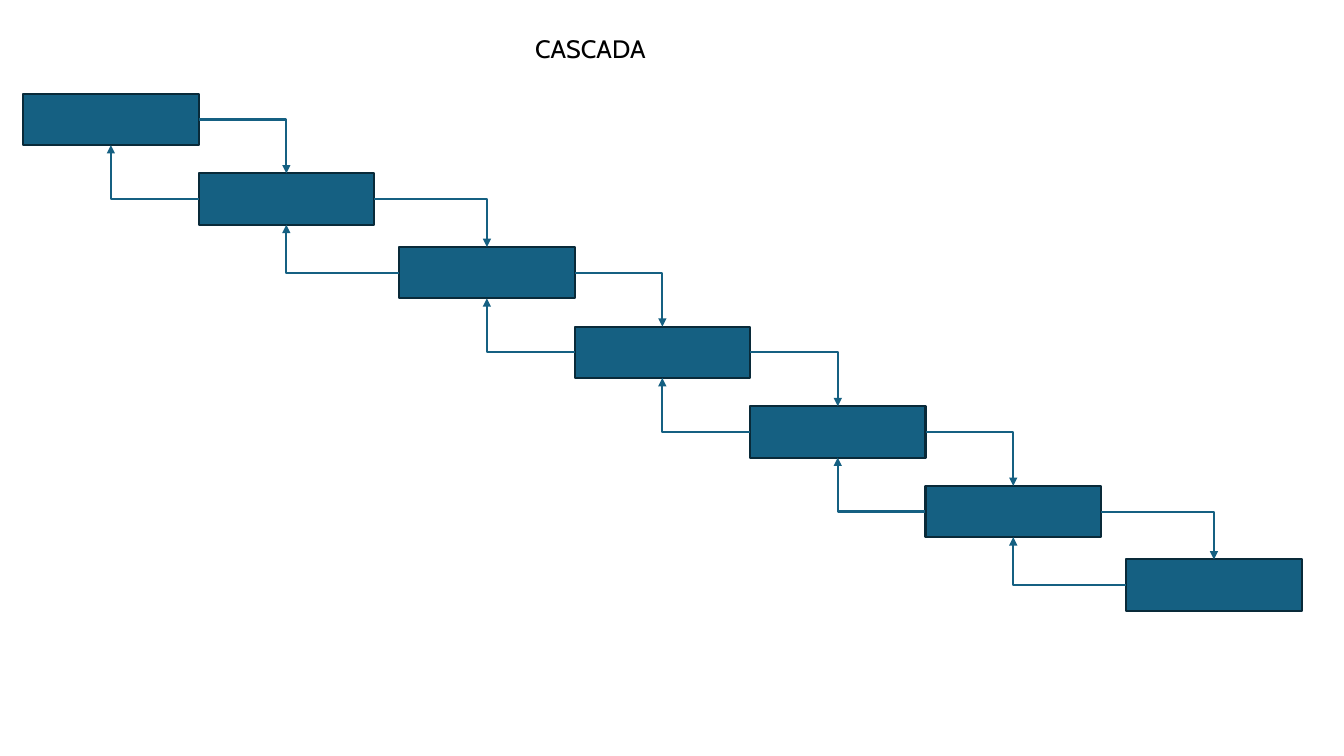
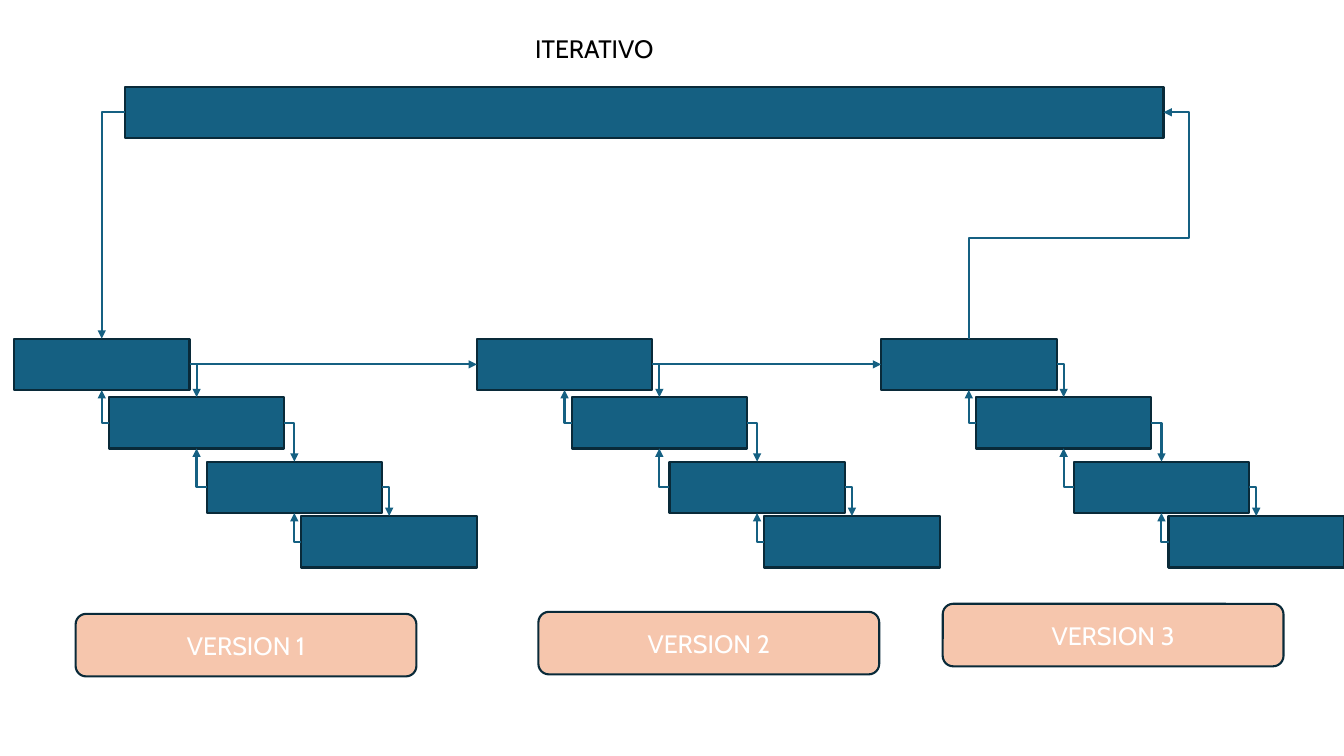
import itertools

import pptx
import pptx.dml.color
import pptx.enum.shapes
import pptx.enum.text
import pptx.oxml.ns
import pptx.util
from lxml import etree

Inches = pptx.util.Inches
Pt = pptx.util.Pt
qn = pptx.oxml.ns.qn
SHAPE = pptx.enum.shapes.MSO_SHAPE
ELBOW = pptx.enum.shapes.MSO_CONNECTOR.ELBOW

# Connection sites of a rectangle
TOP, LEFT, BOTTOM, RIGHT = range(4)


def rgb(value):
    return pptx.dml.color.RGBColor.from_string(value)


class Deck:
    BLUE, NAVY, PEACH = "156082", "092A39", "F6C6AD"
    BLACK, WHITE = "000000", "FFFFFF"
    FONT = {"name": "Cabin", "size": Pt(18)}
    LINE = Pt(1.5)
    BOX_W, BOX_H = 1.74, 0.51

    def __init__(self):
        self.prs = pptx.Presentation()
        self.prs.slide_width, self.prs.slide_height = Inches(13.33), Inches(7.5)
        self.s = None

    def slide(self, title):
        self.s = self.prs.slides.add_slide(self.prs.slide_layouts[6])
        tb = self.s.shapes.add_textbox(*map(Inches, (5.21, 0.28, 4.57, 0.4)))
        tb.text_frame.word_wrap = True
        self.add_text(tb.text_frame.paragraphs[0], title, self.BLACK)

    def add_text(self, p, text, color):
        r = p.add_run()
        r.text = text
        for key, value in self.FONT.items():
            setattr(r.font, key, value)
        r.font.color.rgb = rgb(color)

    def box(self, x, y, w=BOX_W, h=BOX_H, kind=SHAPE.RECTANGLE, fill=BLUE, parent=None):
        sp = (parent or self.s).shapes.add_shape(kind, *map(Inches, (x, y, w, h)))
        sp.shadow.inherit = False
        sp.fill.solid()
        sp.fill.fore_color.rgb = rgb(fill)
        sp.line.color.rgb = rgb(self.NAVY)
        sp.line.width = self.LINE
        return sp

    def label(self, x, y, text):
        sp = self.box(x, y, 3.38, 0.62, SHAPE.ROUNDED_RECTANGLE, self.PEACH)
        tf = sp.text_frame
        tf.word_wrap = True
        tf.vertical_anchor = pptx.enum.text.MSO_ANCHOR.MIDDLE
        tf.paragraphs[0].alignment = pptx.enum.text.PP_ALIGN.CENTER
        self.add_text(tf.paragraphs[0], text, self.WHITE)

    @staticmethod
    def site(sp, side):
        x = {LEFT: sp.left, RIGHT: sp.left + sp.width}.get(side, sp.left + sp.width // 2)
        y = {TOP: sp.top, BOTTOM: sp.top + sp.height}.get(side, sp.top + sp.height // 2)
        return x, y

    def arrow(self, start, start_side, end, end_side, bends=2, adjust=(), parent=None):
        ends = self.site(start, start_side) + self.site(end, end_side)
        cxn = (parent or self.s).shapes.add_connector(ELBOW, *ends)
        cxn.begin_connect(start, start_side)
        cxn.end_connect(end, end_side)
        cxn.line.color.rgb = rgb(self.BLUE)
        cxn.line.width = self.LINE
        props = cxn.element.spPr
        etree.SubElement(props.find(qn("a:ln")), qn("a:tailEnd"), type="triangle")
        etree.SubElement(props, qn("a:effectLst"))
        geom = props.find(qn("a:prstGeom"))
        geom.set("prst", f"bentConnector{bends}")
        for i, value in enumerate(adjust, 1):
            etree.SubElement(geom.find(qn("a:avLst")), qn("a:gd"),
                             name=f"adj{i}", fmla=f"val {value}")
        return cxn

    def quarter_turn(self, cxn):
        """Turn a connector by 90 degrees so that it leaves its start upwards."""
        cx, cy = cxn.left + cxn.width // 2, cxn.top + cxn.height // 2
        w, h = cxn.height, cxn.width
        values = {"left": cx - w // 2, "top": cy - h // 2, "width": w, "height": h}
        for key, value in values.items():
            setattr(cxn, key, value)
        xfrm = cxn.element.spPr.find(qn("a:xfrm"))
        for key, value in {"rot": "5400000", "flipH": "1", "flipV": "1"}.items():
            xfrm.set(key, value)

    def cascade(self, x, y, steps, parent=None):
        """Boxes going down the stairs, with an arrow down and one back at each step."""
        spots = itertools.accumulate(steps, lambda a, b: (a[0] + b[0], a[1] + b[1]),
                                     initial=(x, y))
        boxes = [self.box(*spot, parent=parent) for spot in spots]
        for upper, lower in zip(boxes, boxes[1:]):
            self.arrow(upper, RIGHT, lower, TOP, parent=parent)
            self.arrow(lower, LEFT, upper, BOTTOM, parent=parent)
        return boxes


def main():
    deck = Deck()

    # Waterfall
    deck.slide("CASCADA")
    near, far = (1.74, 0.79), (1.99, 0.73)
    deck.cascade(0.23, 0.93, [near, far, near, near, near, far])

    # Iterative: three small cascades under one bar
    deck.slide("ITERATIVO")
    steps = [(0.94, 0.58), (0.97, 0.64), (0.94, 0.54)]
    firsts = []
    versions = [(0.14, 6.09), (4.73, 6.07), (8.74, 5.99)]
    for number, (x, label_y) in enumerate(versions, 1):
        group = deck.s.shapes.add_group_shape()
        firsts.append(deck.cascade(x, 3.36, steps, group)[0])
        deck.label(x + 0.61, label_y, f"VERSION {number}")

    # Loop through the bar and from version to version
    bar = deck.box(1.24, 0.86, w=10.3)
    deck.arrow(bar, LEFT, firsts[0], TOP)
    back = deck.arrow(firsts[-1], TOP, bar, RIGHT, bends=4, adjust=(44300, 112900))
    deck.quarter_turn(back)
    for first, following in zip(firsts, firsts[1:]):
        deck.arrow(first, RIGHT, following, LEFT, bends=3)

    deck.prs.save("out.pptx")


if __name__ == "__main__":
    main()
